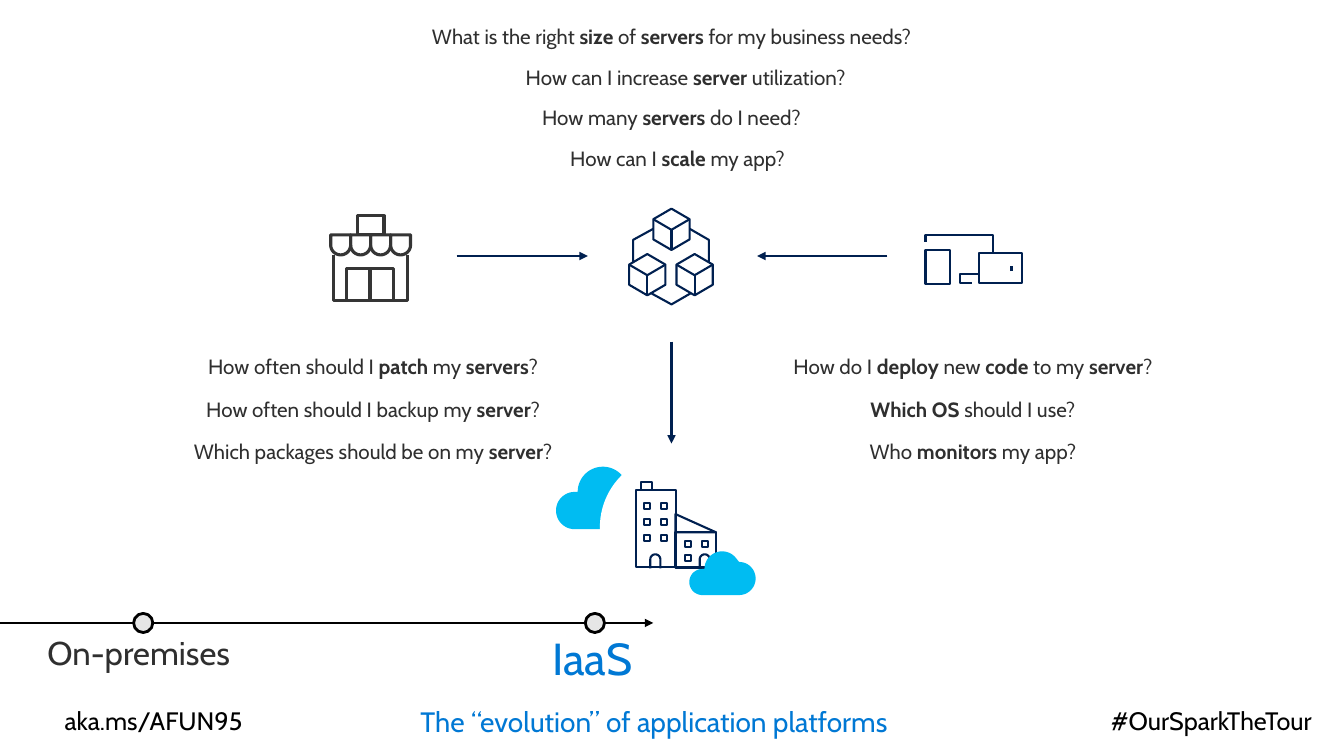
from math import cos, radians, sin

from lxml import etree
from pptx import Presentation
from pptx import util as u
from pptx.dml.color import RGBColor
from pptx.enum import shapes, text
from pptx.oxml import ns

W, H = 13.33, 7.5
FONT = "Cabin"
COLORS = {"ink": "2F2F2F", "black": "000000", "blue": "0078D4", "navy": "002050",
          "sky": "00BCF2", "store": "353535", "dot": "E6E6E6", "white": "FFFFFF"}

TITLE = "The “evolution” of application platforms"
ADDRESS, HASHTAG = "aka.ms/AFUN95", "#OurSparkTheTour"
# Words between asterisks are bold: (top, row step, [(centre, width, question)])
QUESTIONS = [
    (0.19, 0.403, [
        (6.66, 6.11, "What is the right *size* of *servers* for my business needs?"),
        (6.80, 3.86, "How can I increase *server* utilization?"),
        (6.66, 4.14, "How many *servers* do I need?"),
        (6.72, 2.57, "How can I *scale* my app?")]),
    (3.46, 0.425, [
        (3.70, 4.09, "How often should I *patch* my *servers*?"),
        (3.70, 3.72, "How often should I backup my *server*?"),
        (3.70, 4.29, "Which packages should be on my *server*?")]),
    (3.46, 0.425, [
        (9.65, 5.30, "How do I *deploy* new *code* to my *server*?"),
        (9.65, 2.71, "*Which OS* should I use?"),
        (9.65, 4.48, "Who *monitors* my app?")]),
]
# (label, left, width, height, size, colour, dot centre)
MILESTONES = [("On-premises", 0.27, 2.26, 0.67, 23.5, "ink", 1.42),
              ("IaaS", 5.28, 1.21, 0.8, 32, "blue", 5.9)]
TIMELINE_Y, TIMELINE_END, DOT = 6.18, 6.48, 0.19
ARROWS = [((4.53, 2.54), (5.83, 2.54)), ((8.8, 2.54), (7.51, 2.54)),
          ((6.66, 3.39), (6.66, 4.4))]
CUBES = [(6.89, 2.52), (6.42, 2.52), (6.66, 2.07)]
CUBE_LINKS = [[(6.46, 2.91), (6.66, 3.02), (6.85, 2.91)],
              [(6.84, 2.27), (7.03, 2.38), (7.03, 2.6)],
              [(6.28, 2.6), (6.28, 2.38), (6.48, 2.27)]]
DEVICE_CABLES = [[(9.71, 2.72), (9.52, 2.72), (9.52, 2.81), (9.64, 2.81)],
                 [(9.18, 2.4), (9.18, 2.33), (9.85, 2.33), (9.85, 2.51)]]

prs = Presentation()
prs.slide_width, prs.slide_height = u.Inches(W), u.Inches(H)
s = prs.slides.add_slide(prs.slide_layouts[5])


def rgb(name):
    return RGBColor.from_string(COLORS[name])


def box(*lengths):
    return [u.Inches(v) for v in lengths]


def paint(shape, fill=None, line=None, width=1.5):
    shape.shadow.inherit = False
    if fill:
        shape.fill.solid()
        shape.fill.fore_color.rgb = rgb(fill)
    else:
        shape.fill.background()
    if line:
        shape.line.color.rgb = rgb(line)
        shape.line.width = u.Pt(width)
    else:
        shape.line.fill.background()


def preset(parent, kind, at, **style):
    shape = parent.add_shape(kind, *box(*at))
    paint(shape, **style)
    return shape


def rect(parent, *at, line="navy", width=1.5):
    preset(parent, shapes.MSO_SHAPE.RECTANGLE, at, line=line, width=width)


def outline(parent, points, close=False, **style):
    start, *rest = [tuple(box(*pt)) for pt in points]
    builder = parent.build_freeform(*start, scale=1.0)
    builder.add_line_segments(rest, close=close)
    paint(builder.convert_to_shape(), **style)


def arc(cx, cy, r, start, end, steps=24):
    """Points on a circle, in clockwise degrees from the right."""
    angles = [radians(start + (end - start) * i / steps) for i in range(steps + 1)]
    return [(cx + r * cos(a), cy + r * sin(a)) for a in angles]


def segment(parent, start, end, color="navy", width=2, arrow=False):
    c = parent.add_connector(shapes.MSO_CONNECTOR.STRAIGHT, *box(*start, *end))
    c.line.color.rgb = rgb(color)
    c.line.width = u.Pt(width)
    if arrow:
        etree.SubElement(c.line._get_or_add_ln(), ns.qn("a:tailEnd"), type="triangle")
    etree.SubElement(c._element.spPr, ns.qn("a:effectLst"))


def write(shape, marked, size, color, align=text.PP_ALIGN.LEFT, inset=(0.1, 0.05),
          wrap=True, fit=text.MSO_AUTO_SIZE.SHAPE_TO_FIT_TEXT):
    tf = shape.text_frame
    tf.word_wrap, tf.auto_size = wrap, fit
    tf.margin_left = tf.margin_right = u.Inches(inset[0])
    tf.margin_top = tf.margin_bottom = u.Inches(inset[1])
    p = tf.paragraphs[0]
    p.alignment = align
    for i, part in enumerate(marked.split("*")):
        if part:
            r = p.add_run()
            r.text = part
            r.font.name, r.font.size, r.font.bold = FONT, u.Pt(size), i % 2 == 1
            r.font.color.rgb = rgb(color)
    return p


def label(at, *args, **kwargs):
    return write(s.shapes.add_textbox(*box(*at)), *args, **kwargs)


def icon():
    return s.shapes.add_group_shape().shapes


def cloud(left, top, k):
    points = (arc(0.46, 0.25, 0.25, 180, 323) + arc(0.7, 0.385, 0.235, 270, 450)
              + arc(0.18, 0.435, 0.185, 90, 270))
    outline(s.shapes, [(left + k * x, top + k * y) for x, y in points], True, fill="sky")


def office():
    g = icon()
    preset(g, shapes.MSO_SHAPE.OVAL, (5.95, 4.51, 1.44, 1.44), fill="white")
    rect(g, 6.31, 4.86, 0.4, 0.77)
    rect(g, 6.36, 4.78, 0.11, 0.08)
    rect(g, 6.7, 5.28, 0.4, 0.35)
    roof = preset(g, shapes.MSO_SHAPE.ISOSCELES_TRIANGLE, (6.7, 5.1, 0.4, 0.18), line="navy")
    roof.adjustments[0] = 0
    tower = [(6.39 + 0.17 * col, 4.99 + 0.16 * row) for row in range(3) for col in range(2)]
    for left, top in tower + [(6.79, 5.37), (6.96, 5.37), (6.79, 5.51)]:
        rect(g, left, top, 0.06, 0.06)
    for left in (6.45, 6.94):
        arch = arc(left + 0.05, 5.55, 0.05, 180, 360)
        outline(g, [(left, 5.64), *arch, (left + 0.1, 5.64)], line="navy")


def server_cubes():
    g = icon()
    half, rise, height = 0.18, 0.105, 0.41
    for x, top in CUBES:
        left, right, shoulder, foot = x - half, x + half, top + rise, top + height
        outline(g, [(left, shoulder), (x, top), (right, shoulder), (right, foot - rise),
                    (x, foot), (left, foot - rise)], True, line="navy")
        outline(g, [(right, shoulder), (x, shoulder + rise), (left, shoulder)], line="navy")
        segment(g, (x, shoulder + rise), (x, foot), width=1.5)
    for link in CUBE_LINKS:
        outline(g, link, line="navy")


def store():
    g = icon()
    pen = {"line": "store", "width": 2.25}
    rect(g, 3.55, 2.14, 0.26, 0.19, **pen)
    outline(g, [(3.31, 2.53), (3.31, 2.98), (4.04, 2.98), (4.04, 2.53)], **pen)
    for i in range(2):
        rect(g, 3.44 + 0.23 * i, 2.66, 0.23, 0.32, **pen)
    pitch = 0.198
    for i in range(4):
        left = 3.28 + pitch * i
        scallop = arc(left + pitch / 2, 2.43, pitch / 2, 0, 180)
        outline(g, [(left, 2.33), (left + pitch, 2.33), *scallop], True, **pen)


def devices():
    g = icon()
    rect(g, 9.18, 2.48, 0.24, 0.34)
    rect(g, 9.71, 2.51, 0.43, 0.3)
    segment(g, (10.03, 2.69), (10.03, 2.64))
    for cable in DEVICE_CABLES:
        outline(g, cable, line="navy")


title = s.shapes.title
title.left, title.top, title.width, title.height = box(4.07, 7.07, 5.73, 0.18)
title.text_frame.vertical_anchor = text.MSO_ANCHOR.MIDDLE
write(title, TITLE, 20, "blue", fit=text.MSO_AUTO_SIZE.NONE)
label((0.64, 7, 4.55, 0.3), ADDRESS, 18, "black", inset=(0, 0))
label((8.46, 7, 4.55, 0.3), HASHTAG, 18, "black", text.PP_ALIGN.RIGHT, inset=(0, 0))

segment(s.shapes, (0, TIMELINE_Y), (TIMELINE_END, TIMELINE_Y), "black", arrow=True)
for name, left, width, height, size, color, x in MILESTONES:
    p = label((left, 6.16, width, height), name, size, color, inset=(0.2, 0.16), wrap=False)
    p.line_spacing = 0.9
    preset(s.shapes, shapes.MSO_SHAPE.OVAL, (x - DOT / 2, TIMELINE_Y - DOT / 2, DOT, DOT),
           fill="dot", line="black", width=2)

cloud(5.52, 4.63, 1)
for top, step, rows in QUESTIONS:
    for i, (centre, width, question) in enumerate(rows):
        label((centre - width / 2, top + step * i, width, 0.35), question, 14.7, "ink",
              text.PP_ALIGN.CENTER)
office()
server_cubes()
store()
devices()
for start, end in ARROWS:
    segment(s.shapes, start, end, arrow=True)
cloud(6.84, 5.47, 0.7)

prs.save("out.pptx")
